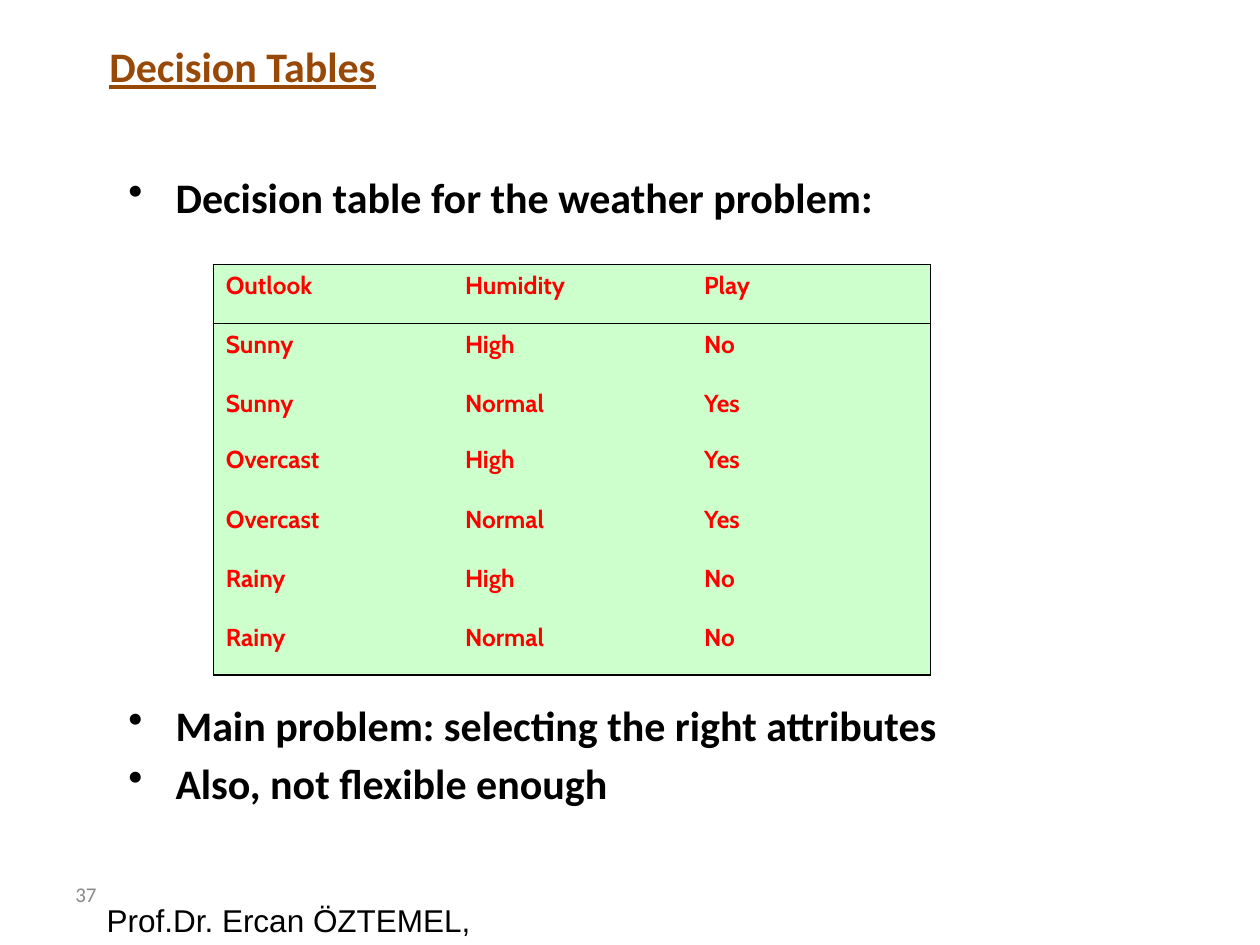
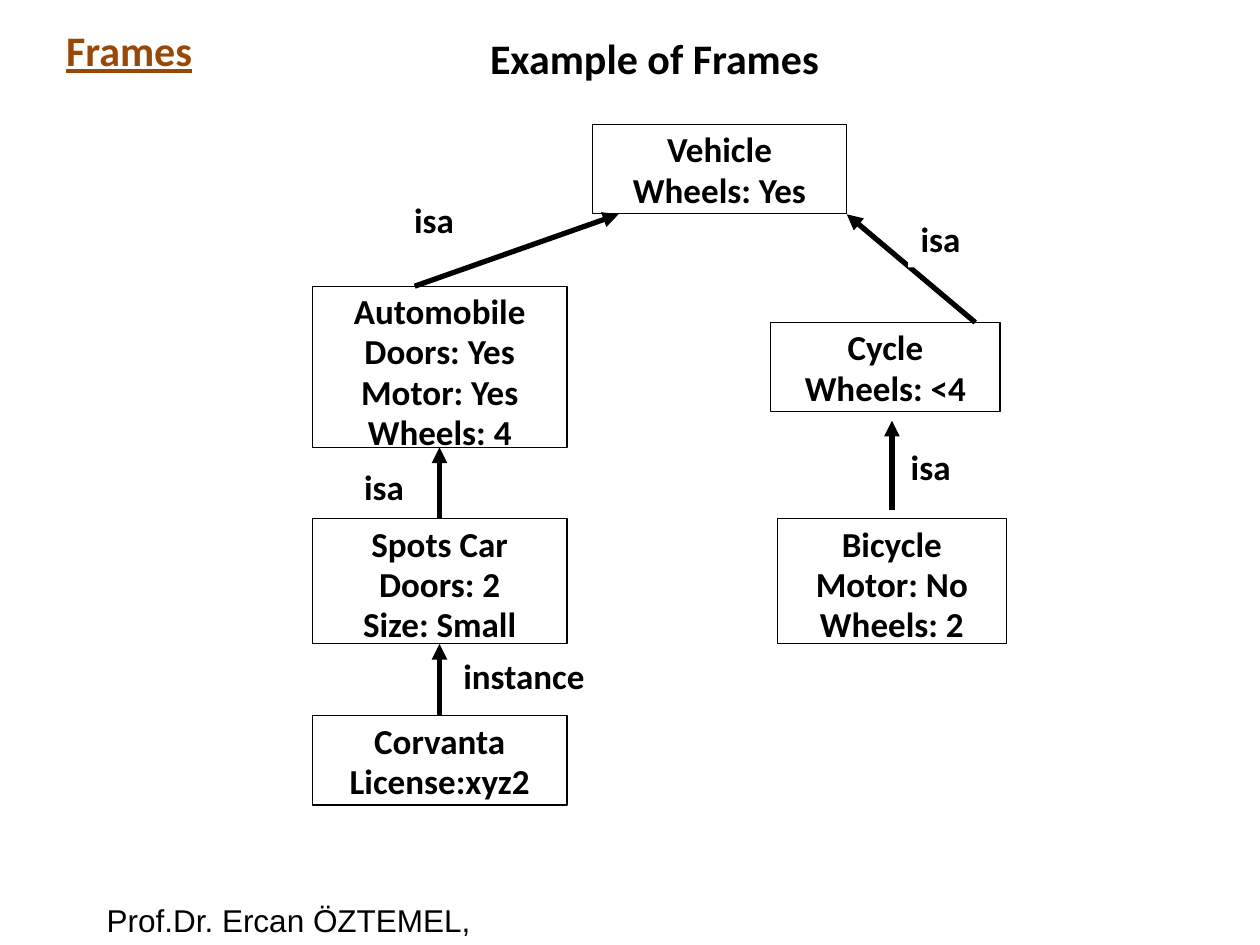
"""Build two lecture slides: a decision table and a hierarchy of frames."""
from dataclasses import dataclass

from lxml.etree import SubElement
from pptx import Presentation
from pptx.dml.color import RGBColor
from pptx.enum.shapes import MSO_CONNECTOR as Connector, MSO_SHAPE as Shape
from pptx.enum.text import MSO_ANCHOR as Anchor, PP_ALIGN as Align
from pptx.oxml.ns import qn
from pptx.slide import Slide
from pptx.util import Cm, Pt

COLOURS = {
    "ink": "000000",
    "paper": "FFFFFF",
    "heading": "984807",
    "number": "898989",
    "cell": "CCFFCC",
    "entry": "FF0000",
}


@dataclass(frozen=True)
class Style:
    size: float
    colour: str = "ink"
    font: str = "Calibri"
    bold: bool = True
    underline: bool = False


@dataclass(frozen=True)
class Area:
    left: float
    top: float
    width: float
    height: float

    def lengths(self) -> list[Cm]:
        return [Cm(n) for n in (self.left, self.top, self.width, self.height)]


@dataclass(frozen=True)
class Frame:
    area: Area
    lines: tuple[str, ...]


@dataclass(frozen=True)
class Label:
    area: Area
    text: str


@dataclass(frozen=True)
class Link:
    start: tuple[float, float]
    end: tuple[float, float]


@dataclass(frozen=True)
class Bullet:
    text: str
    space_before: float


HEADING = Style(24, "heading", underline=True)
BODY = Style(24)
NODE = Style(20)
ENTRY = Style(14, "entry", "Cabin")
NUMBER = Style(12, "number", bold=False)
FOOTER = Style(18, font="Arial", bold=False)

BULLETS = (
    Bullet("Decision table for the weather problem:", 0),
    Bullet("Main problem: selecting the right attributes", 273),
    Bullet("Also, not flexible enough", 4.3),
)
WEATHER = (
    ("Outlook", "Humidity", "Play"),
    ("Sunny", "High", "No"),
    ("Sunny", "Normal", "Yes"),
    ("Overcast", "High", "Yes"),
    ("Overcast", "Normal", "Yes"),
    ("Rainy", "High", "No"),
    ("Rainy", "Normal", "No"),
)
ROW_HEIGHTS = (1.19, 1.19, 1.14, 1.19, 1.19, 1.19, 1.19)

FRAMES = (
    Frame(Area(11.94, 2.51, 5.13, 1.8), ("Vehicle", "Wheels: Yes")),
    Frame(Area(6.3, 5.77, 5.13, 3.25),
          ("Automobile", "Doors: Yes", "Motor: Yes", "Wheels: 4")),
    Frame(Area(15.54, 6.5, 4.62, 1.8), ("Cycle", "Wheels: <4")),
    Frame(Area(6.3, 10.46, 5.13, 2.51), ("Spots Car", "Doors: 2", "Size: Small")),
    Frame(Area(6.3, 14.43, 5.13, 1.8), ("Corvanta", "License:xyz2")),
    Frame(Area(15.67, 10.46, 4.62, 2.51), ("Bicycle", "Motor: No", "Wheels: 2")),
)
LINKS = (
    Link((8.86, 14.43), (8.86, 12.98)),
    Link((8.86, 10.46), (8.86, 9.02)),
    Link((8.36, 5.77), (12.47, 4.32)),
    Link((19.66, 6.5), (17.07, 4.32)),
    Link((17.98, 10.29), (17.98, 8.48)),
)
SPORTS_CAR_LABEL = Label(Area(7.09, 9.32, 2.06, 1.09), "isa")
LABELS = (
    Label(Area(18.31, 4.32, 2.06, 1.07), "isa"),
    Label(Area(8.1, 3.94, 2.06, 1.09), "isa"),
    Label(Area(9.09, 13.13, 3.81, 1.09), "instance"),
    Label(Area(18.11, 8.92, 2.06, 1.09), "isa"),
)


def rgb(name: str) -> RGBColor:
    return RGBColor.from_string(COLOURS[name])


def add_span(para, text: str, style: Style) -> None:
    span = para.add_run()
    span.text = text
    font = span.font
    font.size, font.name = Pt(style.size), style.font
    font.bold, font.underline = style.bold, style.underline
    font.color.rgb = rgb(style.colour)


def add_paras(text_frame, lines: tuple[str, ...], style: Style, align=Align.LEFT,
              spacing: float | None = None) -> list:
    paras = []
    for index, line in enumerate(lines):
        para = text_frame.add_paragraph() if index else text_frame.paragraphs[0]
        para.alignment = align
        para.line_spacing = spacing
        add_span(para, line, style)
        paras.append(para)
    return paras


def add_text(page: Slide, area: Area, lines: tuple[str, ...], style: Style,
             align=Align.LEFT, anchor=Anchor.TOP, wrap: bool = True) -> list:
    box = page.shapes.add_textbox(*area.lengths())
    box.text_frame.word_wrap = wrap
    box.text_frame.vertical_anchor = anchor
    return add_paras(box.text_frame, lines, style, align)


def add_title(page: Slide, area: Area, text: str, style: Style) -> None:
    add_text(page, area, (text,), style, Align.CENTER, Anchor.MIDDLE)


def add_footer(page: Slide) -> None:
    add_text(page, Area(1.9, 18.03, 8.1, 1.02), ("Prof.Dr. Ercan ÖZTEMEL,",),
             FOOTER, wrap=False)


def add_bullets(page: Slide, area: Area, bullets: tuple[Bullet, ...]) -> None:
    paras = add_text(page, area, tuple(item.text for item in bullets), BODY)
    for para, item in zip(paras, bullets):
        properties = para._p.get_or_add_pPr()
        properties.set("marL", str(Cm(0.95)))
        properties.set("indent", str(-Cm(0.95)))
        SubElement(properties, qn("a:buChar"), char="•")
        if item.space_before:
            para.space_before = Pt(item.space_before)


def set_borders(cell, sides: dict[str, bool]) -> None:
    properties = cell._tc.get_or_add_tcPr()
    for side, visible in sides.items():
        line = SubElement(properties, qn(f"a:ln{side}"), w=str(Pt(1)))
        if visible:
            fill = SubElement(line, qn("a:solidFill"))
            SubElement(fill, qn("a:srgbClr"), val=COLOURS["ink"])
        else:
            SubElement(line, qn("a:noFill"))


def add_weather_table(page: Slide, area: Area) -> None:
    last_row, last_column = len(WEATHER) - 1, len(WEATHER[0]) - 1
    table = page.shapes.add_table(last_row + 1, last_column + 1, *area.lengths()).table
    table.first_row = table.horz_banding = False
    for column in table.columns:
        column.width = Cm(area.width / len(WEATHER[0]))
    for row_index, (row, height) in enumerate(zip(WEATHER, ROW_HEIGHTS)):
        table.rows[row_index].height = Cm(height)
        for column_index, text in enumerate(row):
            cell = table.cell(row_index, column_index)
            set_borders(cell, {
                "L": column_index == 0,
                "R": column_index == last_column,
                "T": row_index in (0, 1),
                "B": row_index in (0, last_row),
            })
            cell.fill.solid()
            cell.fill.fore_color.rgb = rgb("cell")
            add_paras(cell.text_frame, (text,), ENTRY)


def add_panel(page: Slide, area: Area, lines: tuple[str, ...], align,
              outlined: bool) -> None:
    panel = page.shapes.add_shape(Shape.RECTANGLE, *area.lengths())
    panel.shadow.inherit = False
    panel.fill.solid()
    panel.fill.fore_color.rgb = rgb("paper")
    if outlined:
        panel.line.color.rgb = rgb("ink")
        panel.line.width = Pt(0.75)
    else:
        panel.line.fill.background()
    panel.text_frame.word_wrap = True
    panel.text_frame.vertical_anchor = Anchor.TOP
    add_paras(panel.text_frame, lines, NODE, align, spacing=0.96)


def add_frame(page: Slide, frame: Frame) -> None:
    add_panel(page, frame.area, frame.lines, Align.CENTER, outlined=True)


def add_label(page: Slide, label: Label) -> None:
    add_panel(page, label.area, (label.text,), Align.LEFT, outlined=False)


def add_link(page: Slide, link: Link) -> None:
    ends = [Cm(n) for n in link.start + link.end]
    arrow = page.shapes.add_connector(Connector.STRAIGHT, *ends)
    arrow.line.color.rgb = rgb("ink")
    arrow.line.width = Pt(3)
    SubElement(arrow.line._get_or_add_ln(), qn("a:tailEnd"), type="triangle")
    SubElement(arrow._element.spPr, qn("a:effectLst"))


def build_decision_page(page: Slide) -> None:
    add_footer(page)
    add_text(page, Area(1.27, 17.65, 5.92, 1.02), ("37",), NUMBER)
    add_title(page, Area(1.27, 0.33, 7.24, 2.01), "Decision Tables", HEADING)
    add_bullets(page, Area(2.34, 3.33, 22.02, 11.43), BULLETS)
    add_weather_table(page, Area(4.3, 5.33, 14.46, sum(ROW_HEIGHTS)))


def build_frames_page(page: Slide) -> None:
    add_footer(page)
    add_title(page, Area(2.69, 0, 21.01, 2.34), "Example of Frames", BODY)
    add_label(page, SPORTS_CAR_LABEL)
    for frame in FRAMES:
        add_frame(page, frame)
    for link in LINKS:
        add_link(page, link)
    for label in LABELS:
        add_label(page, label)
    add_title(page, Area(0.51, 0, 4.19, 2.01), "Frames", HEADING)


def main() -> None:
    deck = Presentation()
    deck.slide_width, deck.slide_height = Cm(25.4), Cm(19.05)
    for build in (build_decision_page, build_frames_page):
        build(deck.slides.add_slide(deck.slide_layouts[6]))
    deck.save("out.pptx")


if __name__ == "__main__":
    main()
